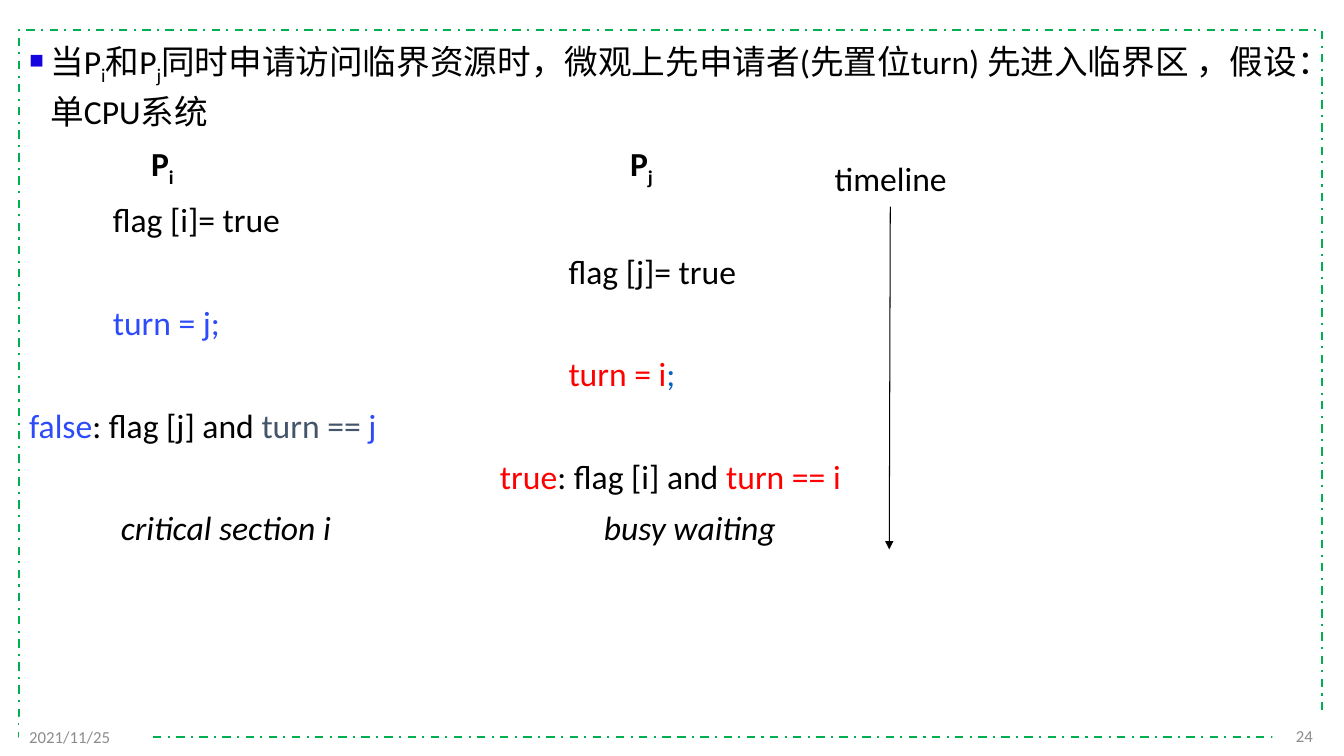
from dataclasses import dataclass

from lxml.etree import SubElement
from pptx import Presentation
from pptx.dml.color import RGBColor
from pptx.enum.dml import MSO_LINE
from pptx.enum.lang import MSO_LANGUAGE_ID as Language
from pptx.enum.shapes import MSO_CONNECTOR, MSO_SHAPE
from pptx.enum.text import MSO_ANCHOR as Anchor, PP_ALIGN as Align
from pptx.oxml.ns import qn
from pptx.util import Pt

PX = 9144  # 100 px to the inch
FONT = "Calibri"
COLORS = {
    "black": "000000",
    "white": "FFFFFF",
    "frame": "00B050",
    "bullet": "1404E0",
    "footer": "8C8C8C",
    "blue": "2E4BFA",
    "red": "FF0000",
    "link": "0563C1",
    "slate": "44546A",
}


@dataclass(frozen=True)
class Span:
    text: str
    color: str = "black"
    bold: bool = False
    italic: bool = False
    subscript: bool = False
    size: int = 24


@dataclass(frozen=True)
class Step:
    """One row of the trace: spans for each process, each starting at a tab stop."""
    stops: tuple[int, ...]
    cells: tuple[tuple[Span, ...], ...]


@dataclass(frozen=True)
class Footer:
    text: str
    left: int
    top: int
    width: int
    align: Align


PREMISE = (
    Span("当P"), Span("i", subscript=True), Span("和P"), Span("j", subscript=True),
    Span("同时申请访问临界资源时，微观上先申请者(先置位turn) 先进入临界区 ，假设：单CPU系统"),
)
STEPS = (
    Step((121, 596), (
        (Span("P", bold=True), Span("i", bold=True, subscript=True)),
        (Span("P", bold=True), Span("j", bold=True, subscript=True)),
    )),
    Step((83,), ((Span("flag [i]= true"),),)),
    Step((535,), ((Span("flag [j]= true"),),)),
    Step((83,), ((Span("turn = j;", "blue"),),)),
    Step((535,), ((Span("turn = i", "red"), Span(";", "link")),)),
    Step((0,), ((Span("false", "blue"), Span(": flag [j] and "),
                 Span("turn == ", "slate"), Span("j", "blue")),)),
    Step((467,), ((Span("true", "red"), Span(": flag [i] and "),
                   Span("turn == i", "red")),)),
    Step((91, 570), ((Span("critical section i", italic=True),),
                     (Span("busy waiting", italic=True),))),
)
FOOTERS = (
    Footer("24", 1262, 710, 50, Align.RIGHT),
    Footer("2021/11/25", 19, 711, 132, Align.LEFT),
)


def rgb(name: str) -> RGBColor:
    return RGBColor.from_string(COLORS[name])


def add_span(para, span: Span) -> None:
    run = para.add_run()
    run.text = span.text
    font = run.font
    font.name, font.size = FONT, Pt(span.size)
    font.bold, font.italic = span.bold, span.italic
    font.color.rgb = rgb(span.color)
    font.language_id = Language.SIMPLIFIED_CHINESE
    if span.subscript:
        font._element.set("baseline", "-25000")


def add_text_box(page, left: int, top: int, width: int, height: int, wrap: bool):
    box = page.shapes.add_textbox(left * PX, top * PX, width * PX, height * PX)
    box.text_frame.word_wrap = wrap
    return box.text_frame


def add_rectangle(page, left: int, top: int, width: int, height: int):
    box = page.shapes.add_shape(
        MSO_SHAPE.RECTANGLE, left * PX, top * PX, width * PX, height * PX)
    box.shadow.inherit = False
    return box


def add_frame(page) -> None:
    frame = add_rectangle(page, 19, 30, 1292, 701)
    frame.fill.background()
    frame.line.color.rgb = rgb("frame")
    frame.line.width = Pt(1.5)
    frame.line.dash_style = MSO_LINE.DASH_DOT


def add_bullet(para) -> None:
    props = para._p.get_or_add_pPr()
    props.set("marL", str(21 * PX))
    props.set("indent", str(-21 * PX))
    color = SubElement(props, qn("a:buClr"))
    SubElement(color, qn("a:srgbClr"), val=COLORS["bullet"])
    SubElement(props, qn("a:buSzPct"), val="60000")
    SubElement(props, qn("a:buChar"), char="■")


def add_step(para, step: Step) -> None:
    tabs = SubElement(para._p.get_or_add_pPr(), qn("a:tabLst"))
    for stop, cell in zip(step.stops, step.cells):
        if stop:
            SubElement(tabs, qn("a:tab"), pos=str(stop * PX), algn="l")
            add_span(para, Span("\t"))
        for span in cell:
            add_span(para, span)
    para.space_before = Pt(5)
    para.line_spacing = 1.1


def add_trace(page) -> None:
    frame = add_text_box(page, 19, 31, 1292, 701, wrap=True)
    premise = frame.paragraphs[0]
    add_bullet(premise)
    premise.line_spacing = 1.1
    for span in PREMISE:
        add_span(premise, span)
    for step in STEPS:
        add_step(frame.add_paragraph(), step)


def add_footer(page, footer: Footer) -> None:
    box = add_rectangle(page, footer.left, footer.top, footer.width, 40)
    box.fill.solid()
    box.fill.fore_color.rgb = rgb("white")
    box.line.fill.background()
    box.text_frame.vertical_anchor = Anchor.MIDDLE
    para = box.text_frame.paragraphs[0]
    para.alignment = footer.align
    add_span(para, Span(footer.text, "footer", size=12))


def add_timeline(page) -> None:
    arrow = page.shapes.add_connector(
        MSO_CONNECTOR.STRAIGHT, 883 * PX, 205 * PX, 882 * PX, 545 * PX)
    arrow.line.color.rgb = rgb("black")
    arrow.line.width = Pt(0.75)
    SubElement(arrow.line._get_or_add_ln(), qn("a:tailEnd"), type="triangle")
    SubElement(arrow._element.spPr, qn("a:effectLst"))
    label = add_text_box(page, 818, 152, 133, 50, wrap=False)
    add_span(label.paragraphs[0], Span("timeline"))


def main() -> None:
    deck = Presentation()
    deck.slide_width, deck.slide_height = 1333 * PX, 750 * PX
    page = deck.slides.add_slide(deck.slide_layouts.get_by_name("Blank"))
    add_frame(page)
    add_trace(page)
    for footer in FOOTERS:
        add_footer(page, footer)
    add_timeline(page)
    deck.save("out.pptx")


if __name__ == "__main__":
    main()
